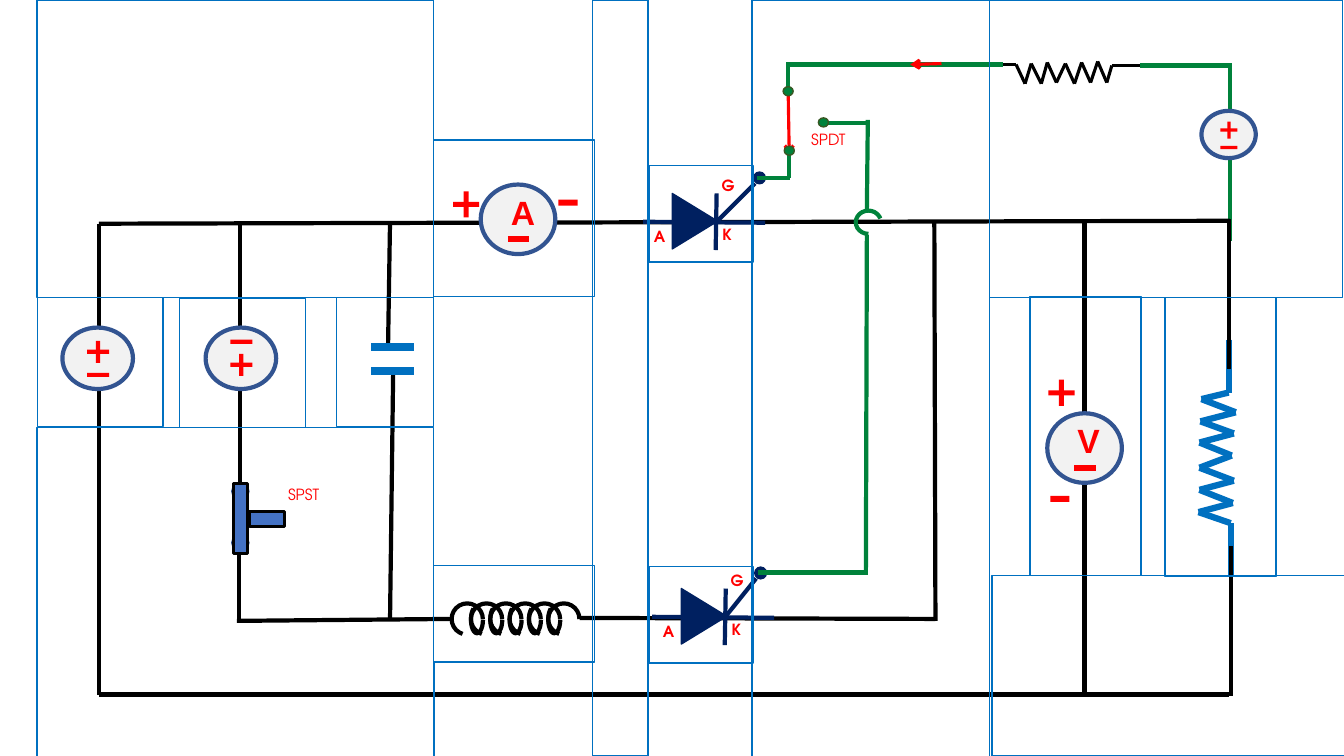
from lxml import etree
from pptx import Presentation
from pptx.dml.color import RGBColor
from pptx.enum import shapes, text
from pptx.oxml import ns
from pptx.util import Pt

BLACK, GREEN, RED, NAVY = "000000", "00823B", "FF0000", "002060"
BLUE, RIM, PALE, STEEL = "0070C0", "325491", "F2F2F2", "4472C4"
preset = shapes.MSO_SHAPE
LINE = shapes.MSO_CONNECTOR.STRAIGHT

deck = Presentation()
deck.slide_width, deck.slide_height = Pt(960), Pt(540)
slide = deck.slides.add_slide(deck.slide_layouts[6])


def paint(fill, color):
    if color:
        fill.solid()
        fill.fore_color.rgb = RGBColor.from_string(color)
    else:
        fill.background()


def write(words, x, y, width, height, size=11, font="TeX Gyre Adventor", bold=False, align=None):
    label = slide.shapes.add_textbox(Pt(x), Pt(y), Pt(width), Pt(height)).text_frame
    label.word_wrap = True
    label.auto_size = text.MSO_AUTO_SIZE.SHAPE_TO_FIT_TEXT
    label.paragraphs[0].alignment = align
    run = label.paragraphs[0].add_run()
    run.text = words
    run.font.name, run.font.size, run.font.bold = font, Pt(size), bold
    paint(run.font.fill, RED)


parts = []

power_wires = [
    (70.6, 496.1, 70.6, 159.8), (70.6, 159.8, 878.4, 157.7), (171.4, 347.8, 171.4, 157.7),
    (170.6, 442.1, 170.6, 386.6), (277.2, 246.2, 278.6, 158.4), (278.6, 442.8, 280.8, 267.8),
    (169.2, 443.5, 322.6, 442.1), (414, 441.4, 668.2, 442.1), (668.2, 443.5, 667.4, 157.7),
    (70.6, 496.1, 877.7, 496.1), (774.7, 494.6, 774.7, 157),
]
gate_wires = [
    (541.4, 409, 619.9, 409), (618.5, 409.7, 619.2, 167.8), (619.2, 149.8, 619.9, 85.7),
    (588.2, 87.8, 619.9, 87.8), (540.7, 127.4, 564.5, 127.4), (563, 47.5, 563, 67.7),
    (563.8, 107.3, 563.8, 127.4), (814.3, 46.8, 879.8, 46.8), (561.6, 46.1, 716.4, 46.1),
]
load_wires = [(877.7, 263.5, 877.7, 156.2), (879.1, 496.8, 879.1, 390.2)]

load_resistor = [
    (877.7, 242.6), (877.7, 280.4), (858.2, 285.1), (882.7, 294.5), (857.5, 301),
    (881.3, 309.6), (856.8, 316.1), (879.8, 325.4), (856.8, 334.1), (881.3, 343.4),
    (856.8, 349.9), (880.6, 359.3), (856.1, 365.8), (879.1, 373.7), (879.1, 411.1),
]
gate_resistor = [
    (699.1, 46.1), (725.8, 46.1), (732.2, 59.8), (736.6, 45.4), (743.8, 59.8),
    (748.1, 44.6), (754.6, 59), (761, 45.4), (767.5, 59.8), (772.6, 44.6),
    (779, 59), (784.1, 43.9), (790.6, 59), (794.2, 46.8), (821.5, 46.8),
]

parts.append((LINE, (878.4, 172.1, 878.4, 48.2), None, GREEN, 3, {}))
for wire in power_wires:
    parts.append((LINE, wire, None, BLACK, 3, {}))
for start, end in zip(load_resistor, load_resistor[1:]):
    parts.append((LINE, start + end, None, BLUE, 4.5, {}))
for wire in load_wires:
    parts.append((LINE, wire, None, BLACK, 3, {}))
for plate_y in (247.7, 265):
    parts.append((LINE, (265.3, plate_y, 295.9, plate_y), None, BLUE, 6, {}))

for dx, dy, gate_x in ((0, 0, 537.8), (6.5, 282.2, 538.6)):
    parts.append((preset.ISOSCELES_TRIANGLE, (476.6 + dx, 141.8 + dy, 39.6, 32.4),
                  NAVY, NAVY, 1, {"turn": 90}))
    for x1, y1, x2, y2 in ((511.9, 138.2, 511.2, 178.6), (546.5, 159.1, 459.4, 158.4)):
        parts.append((LINE, (x1 + dx, y1 + dy, x2 + dx, y2 + dy), None, NAVY, 3, {}))
    parts.append((LINE, (510.5 + dx, 159.8 + dy, gate_x + 1.5, 131 + dy), None, NAVY, 3, {}))
    parts.append((preset.OVAL, (gate_x, 122.4 + dy, 9.4, 9.4), NAVY, None, 0, {}))

parts.append((LINE, (563, 66.2, 563.8, 110.9), None, RED, 2.25, {"arrow": True}))
for start, end in zip(gate_resistor, gate_resistor[1:]):
    parts.append((LINE, start + end, None, BLACK, 2.25, {}))
for wire in gate_wires:
    parts.append((LINE, wire, None, GREEN, 3, {}))
parts.append((LINE, (672.5, 45.4, 650.2, 46.1), None, RED, 2.25, {"arrow": True}))
parts.append((preset.ARC, (612, 149.8, 16.6, 18), None, GREEN, 3, {"turn": 90, "flip": True}))
for contact_x, contact_y in ((559.4, 61.9), (584.6, 84.2), (560.2, 104.4)):
    parts.append((preset.OVAL, (contact_x, contact_y, 7.2, 6.5), GREEN, "385723", 1, {}))

for turn in range(6):
    coil_x = 322.6 + 13.8 * turn
    if turn:
        parts.append((preset.ARC, (coil_x, 433, 8.6, 19.4), None, BLACK, 3, {"flip": True}))
    parts.append((preset.ARC, (coil_x, 431, 22.3, 22.3), None, BLACK, 3, {}))

for pivot_y in (344.9, 381.6):
    parts.append((preset.OVAL, (165.6, pivot_y, 12.2, 12.2), STEEL, RIM, 1, {}))
for blade in ((178, 365.5, 25, 10.8), (167, 345.6, 10.1, 49.7)):
    parts.append((preset.RECTANGLE, blade, STEEL, BLACK, 2.25, {}))

signs = [(333, 146, 18.7, 3.6), (758.2, 280.6, 18.7, 3.6)]
minuses = [(398.9, 142.6, 13.7, 4.3), (750.2, 354.2, 13.7, 4.3)]
for x, y, scale, plus_y, minus_y in (
    (44.6, 234, 1, 17.3, 33.8), (146.9, 234, 1, 26.6, 10.1), (858.2, 79.2, 0.77, 17.8, 34),
):
    parts.append((preset.OVAL, (x, y, 50.4 * scale, 43.9 * scale), PALE, RIM, 3, {}))
    center = x + 25.5 * scale
    signs.append((center, y + plus_y * scale, 15.8 * scale, 3 * scale))
    minuses.append((center - 7.9 * scale, y + (minus_y - 1.5) * scale, 15.8 * scale, 3 * scale))
for x, y, arm, thick in signs:
    for width, height in ((arm, thick), (thick, arm)):
        parts.append((preset.RECTANGLE, (x - width / 2, y - height / 2, width, height),
                      RED, None, 0, {}))
for minus in minuses:
    parts.append((preset.RECTANGLE, minus, RED, None, 0, {}))

meters = [("A", 343.4, 131.8), ("V", 748.1, 295.2)]
for letter, x, y in meters:
    parts.append((preset.OVAL, (x, y, 53.3, 49.7), PALE, RIM, 3, {}))
    parts.append((LINE, (x + 19.4, y + 38.9, x + 34.6, y + 38.9), None, RED, 4.5, {}))

frames = [
    (26.6, 212.4, 90, 92.2), (128.2, 213.1, 90, 92.2), (26.6, 305.3, 283, 235.4),
    (26.6, 0, 283, 212.4), (240.5, 212.4, 69.1, 92.2), (309.6, 100.1, 115.2, 111.6),
    (309.6, 403.9, 115.2, 69.1), (423.4, 0, 39.6, 540), (310.3, 473, 113, 67.7),
    (463.7, 404.6, 74.2, 69.1), (463.7, 118.1, 74.2, 69.1), (537.1, 0, 169.9, 540.7),
    (707, 0, 252, 212.4), (708.5, 411.1, 252, 128.9), (735.8, 211.7, 79.2, 199.4),
    (832.3, 212.4, 79.2, 199.4),
]
for frame in frames:
    parts.append((preset.RECTANGLE, frame, None, BLUE, 1, {}))

for kind, place, fill, edge, weight, extra in parts:
    lengths = [Pt(value) for value in place]
    if kind is LINE:
        part = slide.shapes.add_connector(kind, *lengths)
        etree.SubElement(part.element.spPr, ns.qn("a:effectLst"))
    else:
        part = slide.shapes.add_shape(kind, *lengths)
        part.shadow.inherit = False
        part.rotation = extra.get("turn", 0)
        paint(part.fill, fill)
    paint(part.line.fill, edge)
    if edge:
        part.line.width = Pt(weight)
    if kind is preset.ARC:
        part.adjustments[0], part.adjustments[1] = 64.44, 0
    if extra.get("flip"):
        part.element.spPr.find(ns.qn("a:xfrm")).set("flipV", "1")
    if extra.get("arrow"):
        etree.SubElement(part.element.spPr.find(ns.qn("a:ln")), ns.qn("a:tailEnd"), type="arrow")

for letter, x, y in meters:
    write(letter, x + 14.4, y + 1.4, 26.6, 36, size=24, font="Arial", bold=True,
          align=text.PP_ALIGN.CENTER)
for dx, dy in ((0, 0), (6.5, 282.2)):
    for terminal, x, y in (("A", 460, 158.4), ("K", 509, 157), ("G", 508.3, 122.4)):
        write(terminal, x + dx, y + dy, 19.4, 20.9, bold=True)
for switch, x, y in (("SPST", 198.7, 342.7), ("SPDT", 572.4, 89.3)):
    write(switch, x, y, 47.5, 20.9)

deck.save("out.pptx")
